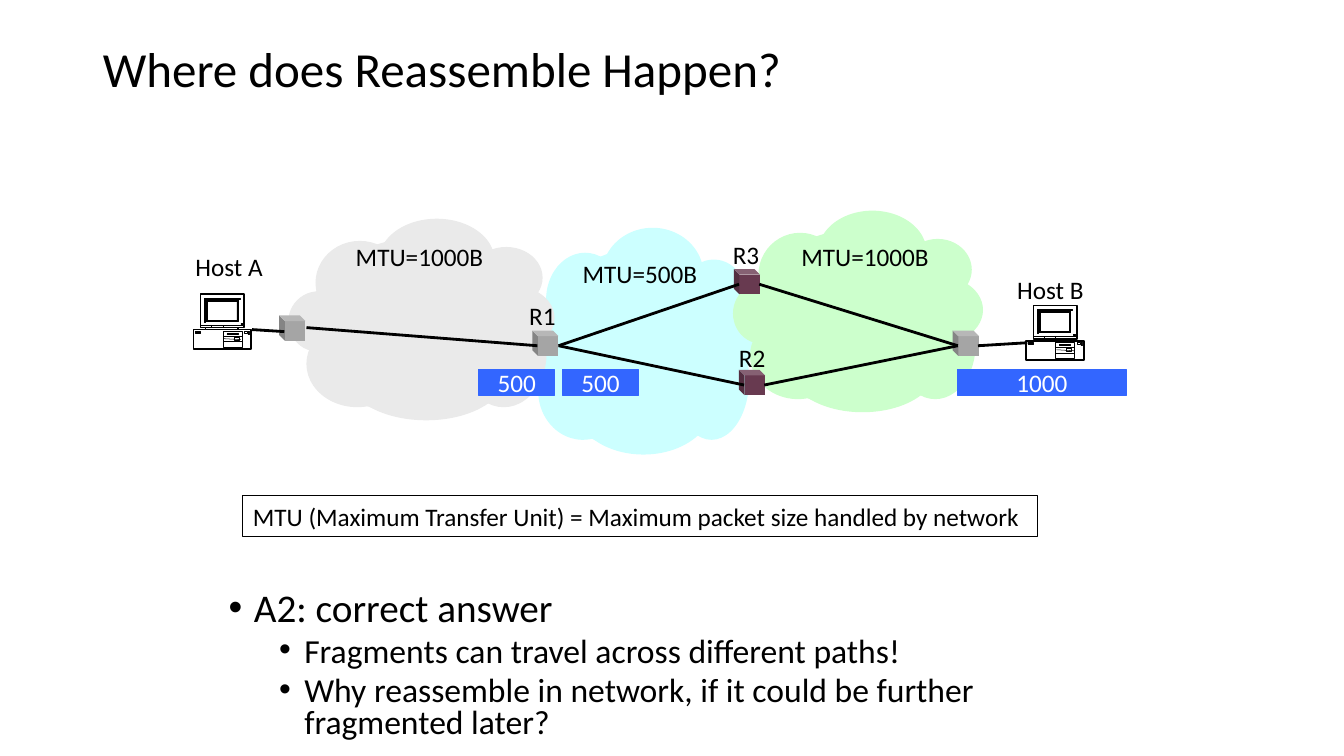
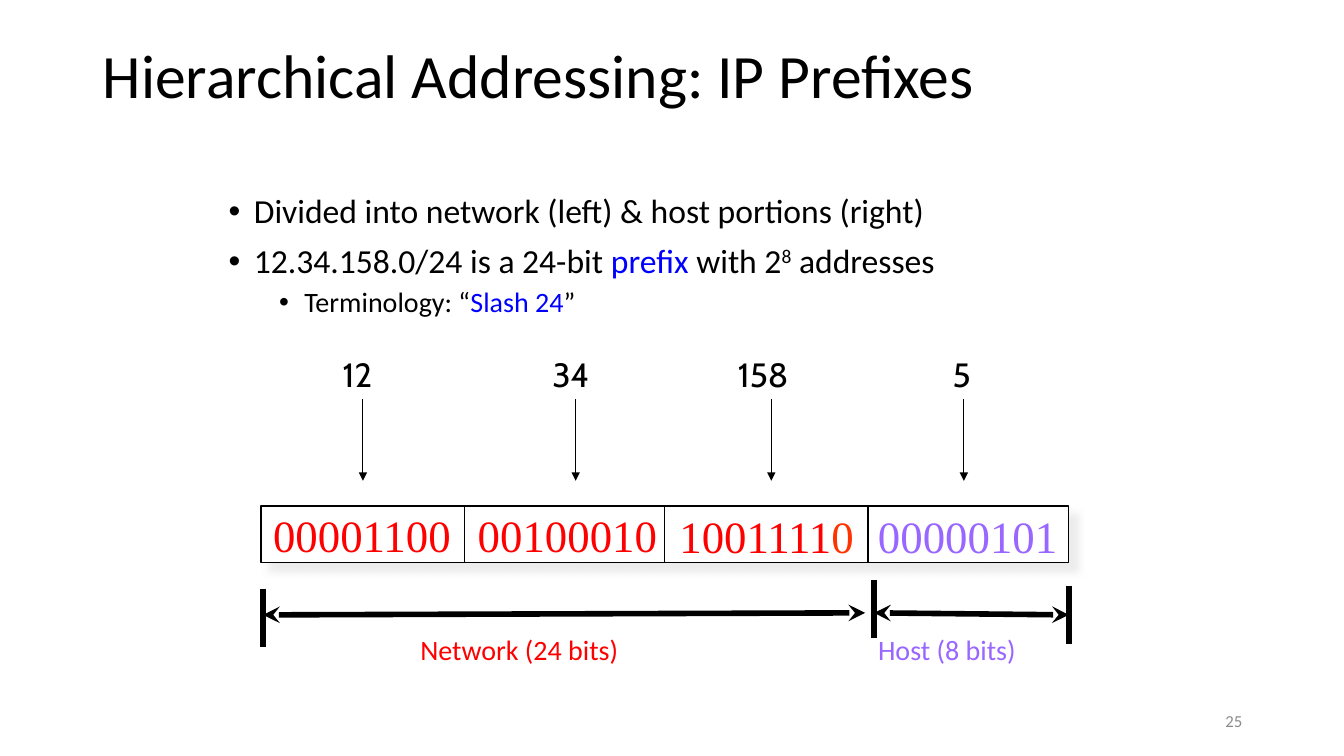
from dataclasses import dataclass
from typing import NamedTuple

from lxml.etree import SubElement
from pptx import Presentation
from pptx.dml.color import RGBColor
from pptx.enum.shapes import MSO_CONNECTOR, MSO_SHAPE
from pptx.enum.text import MSO_ANCHOR, MSO_AUTO_SIZE, PP_ALIGN
from pptx.oxml.ns import qn
from pptx.util import Inches, Pt

COLORS = {
    "black": "000000", "white": "FFFFFF", "number": "8C8C8C",
    "cyan": "CCFFFF", "gray": "EAEAEA", "green": "CCFFCC",
    "packet": "3366FF", "edge router": "A5A5A5", "core router": "683A50",
    "network": "FF0000", "last bit": "FF3300", "host": "9966FF",
    "term": "0000FF", "shadow": "E7E6E6",
}
FONT = "Calibri"

# Ellipses of a cloud: left, top, width, height in percent of its frame
CLOUD_PUFFS = [
    (34, 0, 43.5, 41.5), (10.2, 11, 33.3, 41.5), (0, 36, 22.7, 30),
    (6.8, 50.5, 38.3, 43), (22.3, 56.5, 59, 43.5), (68.2, 14, 27.3, 30.5),
    (67.8, 33, 32.2, 32.5), (64.8, 40, 32.2, 53.5), (6.8, 9, 88.6, 89.5),
]

# Computer outlines, in hundredths of an inch from its top left corner
COMPUTER_CASE = [(12, 35), (0, 35), (0, 54), (57, 54), (57, 35), (44, 35),
                 (44, 33), (50, 33), (50, 0), (7, 0), (7, 33), (12, 33)]
SCREEN_FRAME = [(12, 27), (44, 27), (44, 5), (46, 5), (46, 4), (11, 4),
                (11, 28), (12, 28)]
DRIVE_PANELS = [(29, 37, 48, 52), (50, 37, 53, 39)]
DARK_DETAILS = [(47, 29, 49, 30), (14, 7, 43, 26), (2, 37, 7, 39),
                (33, 39, 44, 40), (54, 37, 55, 38), (54, 39, 55, 40)]
STAND_LINES = [(12, 35, 44, 35), (12, 33, 44, 33)]
FINE_LINES = [(29, 42, 48, 42), (29, 47, 48, 47), (30, 44, 47, 45),
              (7, 31, 50, 31), (18, 33, 18, 31), (29, 33, 29, 31)]


class Span(NamedTuple):
    text: str
    color: str = "black"
    raised: bool = False


class Bullet(NamedTuple):
    spans: list[Span]
    size: int
    level: int = 0


class Cloud(NamedTuple):
    left: float
    top: float
    width: float
    height: float
    color: str


class Router(NamedTuple):
    left: float
    top: float
    color: str


class Label(NamedTuple):
    text: str
    left: float
    top: float
    width: float


class Packet(NamedTuple):
    text: str
    left: float
    width: float


@dataclass
class Octet:
    decimal: str
    decimal_left: float
    decimal_width: float
    arrow_x: float
    bits: list[Span]
    bits_left: float
    bits_top: float
    bits_width: float


def rgb(name: str) -> RGBColor:
    return RGBColor.from_string(COLORS[name])


def style_font(font, size: float, color: str = "black", name: str = FONT) -> None:
    font.name, font.size = name, Pt(size)
    font.color.rgb = rgb(color)


def paint(shape, fill: str | None, line: str | None = None, weight: float = 0.75) -> None:
    shape.shadow.inherit = False
    if fill:
        shape.fill.solid()
        shape.fill.fore_color.rgb = rgb(fill)
    else:
        shape.fill.background()
    if line:
        shape.line.color.rgb = rgb(line)
        shape.line.width = Pt(weight)
    else:
        shape.line.fill.background()


def add_box(page, kind, left: float, top: float, width: float, height: float,
            fill: str | None, line: str | None = None, weight: float = 0.75):
    box = page.shapes.add_shape(kind, Inches(left), Inches(top), Inches(width), Inches(height))
    paint(box, fill, line, weight)
    return box


def add_line(page, start: tuple, end: tuple, weight: float, head: str = "", tail: str = "") -> None:
    line = page.shapes.add_connector(MSO_CONNECTOR.STRAIGHT, *map(Inches, start + end))
    line.line.color.rgb = rgb("black")
    line.line.width = Pt(weight)
    for tag, arrow in (("a:headEnd", head), ("a:tailEnd", tail)):
        if arrow:
            SubElement(line.line._get_or_add_ln(), qn(tag), type=arrow)
    SubElement(line._element.spPr, qn("a:effectLst"))


def add_spans(para, spans: list[Span]) -> None:
    for part in spans:
        span = para.add_run()
        span.text = part.text
        span.font.color.rgb = rgb(part.color)
        if part.raised:
            span._r.get_or_add_rPr().set("baseline", "30000")


def add_label(page, spans: list[Span], left: float, top: float, width: float,
              height: float = 0.4, size: float = 18, font: str = FONT):
    """Add a single unwrapped line of text."""
    box = page.shapes.add_textbox(Inches(left), Inches(top), Inches(width), Inches(height))
    frame = box.text_frame
    frame.word_wrap = False
    frame.auto_size = MSO_AUTO_SIZE.SHAPE_TO_FIT_TEXT
    para = frame.paragraphs[0]
    style_font(para.font, size, spans[0].color, font)
    add_spans(para, spans)
    return box


def add_bullets(page, top: float, height: float, bullets: list[Bullet], spacing: float) -> None:
    box = page.shapes.add_textbox(Inches(2.17), Inches(top), Inches(9), Inches(height))
    frame = box.text_frame
    frame.word_wrap = True
    for index, bullet in enumerate(bullets):
        para = frame.add_paragraph() if index else frame.paragraphs[0]
        para.level = bullet.level
        para.line_spacing = spacing
        para.space_before = Pt(5 if bullet.level else 10)
        style_font(para.font, bullet.size)
        props = para._p.get_or_add_pPr()
        props.set("marL", str(Inches(0.25 + 0.5 * bullet.level)))
        props.set("indent", str(Inches(-0.25)))
        mark_font = props.makeelement(qn("a:buFont"), {"typeface": "Arial"})
        mark = props.makeelement(qn("a:buChar"), {"char": "•"})
        default_run = props.find(qn("a:defRPr"))
        default_run.addprevious(mark_font)
        default_run.addprevious(mark)
        add_spans(para, bullet.spans)


def add_page(deck, title: str, size: float):
    page = deck.slides.add_slide(deck.slide_layouts[5])
    holder = page.shapes.title
    holder.left, holder.top, holder.width, holder.height = map(Inches, (0.92, 0.4, 11.5, 1.45))
    holder.text_frame.text = title
    holder.text_frame.vertical_anchor = MSO_ANCHOR.TOP
    para = holder.text_frame.paragraphs[0]
    para.alignment, para.line_spacing = PP_ALIGN.LEFT, 0.9
    style_font(para.font, size)
    return page


def add_cloud(page, cloud: Cloud) -> None:
    for left, top, width, height in CLOUD_PUFFS:
        add_box(page, MSO_SHAPE.OVAL,
                cloud.left + cloud.width * left / 100, cloud.top + cloud.height * top / 100,
                cloud.width * width / 100, cloud.height * height / 100, cloud.color)


def add_outline(page, contours: list, left: float, top: float, fill: str, weight: float) -> None:
    """Draw closed contours as one freeform; nested contours cut holes."""
    builder = page.shapes.build_freeform(*contours[0][0], scale=Inches(0.01))
    for index, points in enumerate(contours):
        if index:
            builder.move_to(*points[0])
        builder.add_line_segments(points[1:], close=True)
    paint(builder.convert_to_shape(Inches(left), Inches(top)), fill, "black", weight)


def rectangle(x1: int, y1: int, x2: int, y2: int) -> list[tuple[int, int]]:
    return [(x1, y1), (x2, y1), (x2, y2), (x1, y2)]


def add_computer(page, left: float, top: float) -> None:
    def add_strokes(strokes: list, weight: float) -> None:
        for x1, y1, x2, y2 in strokes:
            add_line(page, (left + x1 / 100, top + y1 / 100),
                     (left + x2 / 100, top + y2 / 100), weight)

    add_outline(page, [COMPUTER_CASE], left, top, "white", 1.25)
    add_strokes(STAND_LINES, 1.25)
    add_outline(page, [rectangle(*panel) for panel in DRIVE_PANELS], left, top, "white", 0.38)
    details = [rectangle(*detail) for detail in DARK_DETAILS]
    add_outline(page, details + [SCREEN_FRAME], left, top, "black", 0.38)
    add_strokes(FINE_LINES, 0.38)
    add_box(page, MSO_SHAPE.RECTANGLE, left + 0.4, top + 0.43, 0.05, 0.03, None, "black", 0.38)


def add_router(page, router: Router) -> None:
    cube = add_box(page, MSO_SHAPE.CUBE, router.left, router.top, 0.26, 0.25, router.color)
    cube.adjustments[0] = 0.22
    cube._element.spPr.get_or_add_xfrm().set("flipH", "1")


def add_packet(page, packet: Packet) -> None:
    box = add_box(page, MSO_SHAPE.RECTANGLE, packet.left, 3.67, packet.width, 0.25,
                  "packet", "packet")
    box.text_frame.word_wrap = False
    box.text_frame.vertical_anchor = MSO_ANCHOR.MIDDLE
    para = box.text_frame.paragraphs[0]
    para.text, para.alignment = packet.text, PP_ALIGN.CENTER
    style_font(para.font, 18, "white")


def build_reassembly(deck) -> None:
    page = add_page(deck, "Where does Reassemble Happen?", 35)
    for cloud in (Cloud(5.18, 2.26, 2.32, 2.25, "cyan"),
                  Cloud(2.86, 2.17, 2.64, 2, "gray"),
                  Cloud(7.27, 2.09, 2.48, 2, "green")):
        add_cloud(page, cloud)
    for left, top in ((1.92, 2.92), (10.18, 3.03)):
        add_computer(page, left, top)
    for router in (Router(2.77, 3.13, "edge router"), Router(5.28, 3.28, "edge router"),
                   Router(9.45, 3.28, "edge router"), Router(7.33, 3.67, "core router"),
                   Router(7.28, 2.67, "core router")):
        add_router(page, router)
    r1_exit, last_router = (5.54, 3.43), (9.5, 3.43)
    for start, end in (((2.5, 3.27), (2.82, 3.29)), ((3.04, 3.25), (5.33, 3.43)),
                       (r1_exit, (7.38, 3.82)), ((7.58, 3.82), last_router),
                       (r1_exit, (7.33, 2.82)), ((7.53, 2.82), last_router),
                       ((9.7, 3.43), (10.19, 3.4))):
        add_line(page, start, end, 2)
    for packet in (Packet("500", 4.75, 0.75), Packet("500", 5.58, 0.75),
                   Packet("1000", 9.5, 1.67)):
        add_packet(page, packet)
    for label in (Label("MTU=1000B", 3.43, 2.34, 1.48), Label("MTU=500B", 5.68, 2.51, 1.35),
                  Label("MTU=1000B", 7.85, 2.34, 1.48), Label("Host A", 1.84, 2.44, 0.88),
                  Label("Host B", 9.99, 2.67, 0.87), Label("R1", 5.15, 2.93, 0.47),
                  Label("R2", 7.23, 3.35, 0.47), Label("R3", 7.17, 2.33, 0.47)):
        add_label(page, [Span(label.text)], label.left, label.top, label.width)
    definition = add_label(
        page, [Span("MTU (Maximum Transfer Unit) = Maximum packet size handled by network")],
        2.41, 4.92, 7.88)
    paint(definition, None, "black")
    add_bullets(page, 5.83, 1.67, [
        Bullet([Span("A2: correct answer")], 28),
        Bullet([Span("Fragments can travel across different paths!")], 24, 1),
        Bullet([Span("Why reassemble in network, if it could be further fragmented later?")], 24, 1),
    ], 0.8)


def add_address_bar(page) -> None:
    bar = add_box(page, MSO_SHAPE.RECTANGLE, 2.59, 5.02, 8.01, 0.56, "white", "black", 1)
    shadow = SubElement(bar._element.spPr.find(qn("a:effectLst")), qn("a:outerShdw"),
                        blurRad=str(Pt(5)), dist=str(Pt(8.5)), dir="2700000", algn="ctr",
                        rotWithShape="0")
    tint = SubElement(shadow, qn("a:srgbClr"), val=COLORS["shadow"])
    SubElement(tint, qn("a:alpha"), val="75000")
    for x in (4.61, 6.59, 8.61):
        add_line(page, (x, 5.02), (x, 5.58), 1)


def build_prefixes(deck) -> None:
    page = add_page(deck, "Hierarchical Addressing: IP Prefixes", 44)
    add_bullets(page, 1.88, 1.54, [
        Bullet([Span("Divided into network (left) & host portions (right)")], 24),
        Bullet([Span("12.34.158.0/24 is a 24-bit "), Span("prefix", "term"), Span(" with 2"),
                Span("8", raised=True), Span(" addresses")], 24),
        Bullet([Span("Terminology: “"), Span("Slash 24", "term"), Span("”")], 20, 1),
    ], 0.9)
    add_address_bar(page)
    for octet in (
        Octet("12", 3.3, 0.57, 3.6, [Span("00001100", "network")], 2.61, 4.99, 1.98),
        Octet("34", 5.38, 0.57, 5.71, [Span("00100010", "network")], 4.64, 4.99, 2),
        Octet("158", 7.22, 0.75, 7.65, [Span("1001111", "network"), Span("0", "last bit")],
              6.64, 5, 1.95),
        Octet("5", 9.35, 0.39, 9.56, [Span("00000101", "host")], 8.61, 5, 2),
    ):
        add_label(page, [Span(octet.decimal)], octet.decimal_left, 3.46, octet.decimal_width,
                  0.5, 24, "Cabin")
        add_line(page, (octet.arrow_x, 3.96), (octet.arrow_x, 4.77), 0.75, tail="triangle")
        add_label(page, octet.bits, octet.bits_left, octet.bits_top, octet.bits_width,
                  0.64, 32, "Times New Roman")
    for x, top in ((2.61, 5.84), (8.67, 5.75), (10.6, 5.81)):
        add_line(page, (x, top), (x, top + 0.58), 4)
    for start, end in (((8.58, 6.08), (2.61, 6.1)), ((8.67, 6.08), (10.6, 6.1))):
        add_line(page, start, end, 4, "stealth", "stealth")
    add_label(page, [Span("Network (24 bits)", "network")], 4.07, 6.23, 2.2, 0.44, 20)
    add_label(page, [Span("Host (8 bits)", "host")], 8.61, 6.23, 1.59, 0.44, 20)
    number = add_label(page, [Span("25", "number")], 9.42, 6.95, 3, size=12).text_frame
    number.word_wrap, number.auto_size = True, MSO_AUTO_SIZE.NONE
    number.vertical_anchor = MSO_ANCHOR.MIDDLE
    number.paragraphs[0].alignment = PP_ALIGN.RIGHT


def main() -> None:
    deck = Presentation()
    deck.slide_width, deck.slide_height = Inches(13.33), Inches(7.5)
    build_reassembly(deck)
    build_prefixes(deck)
    deck.save("out.pptx")


if __name__ == "__main__":
    main()
